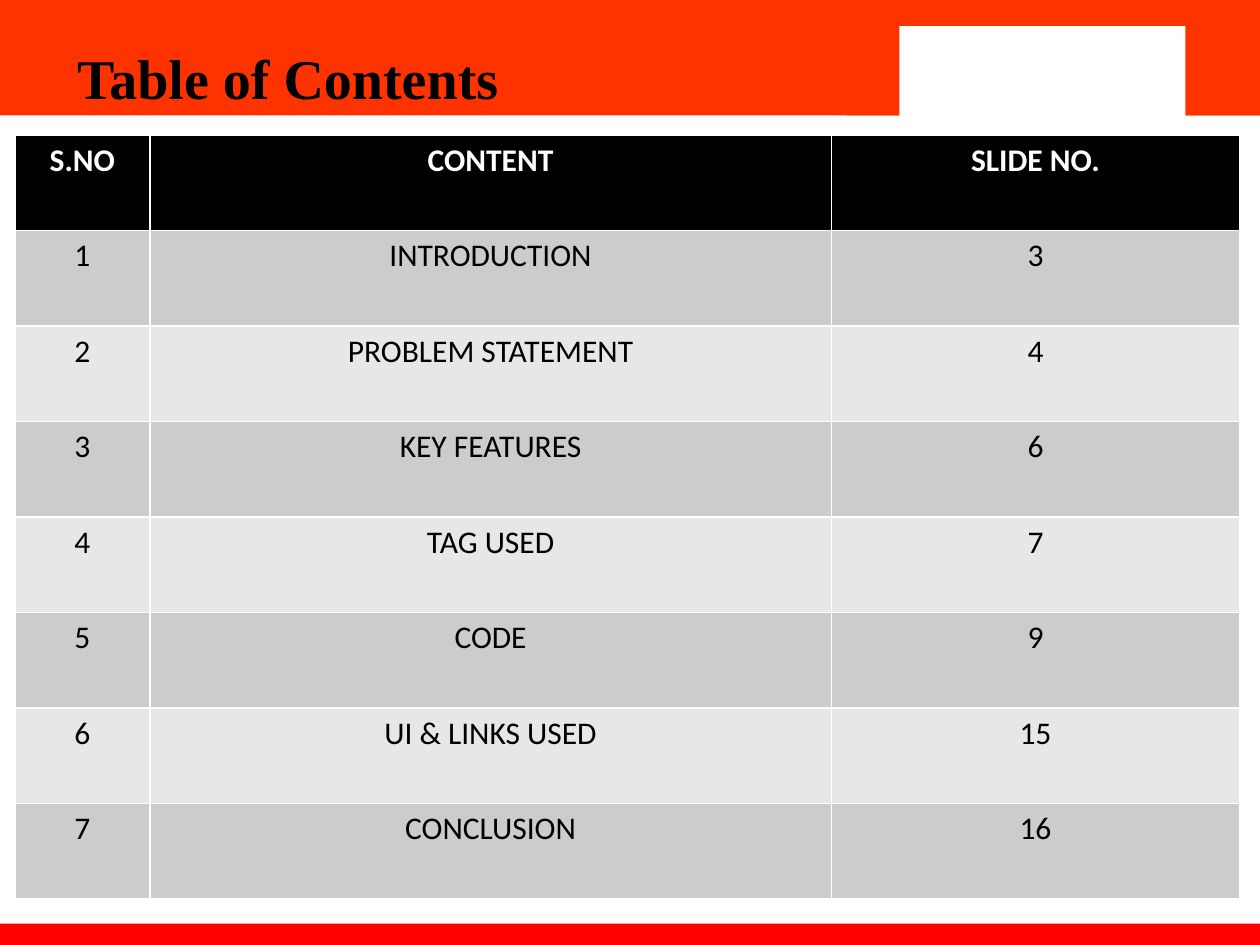
from dataclasses import dataclass

import pptx
import pptx.dml.color
import pptx.enum.shapes
import pptx.enum.text
import pptx.util

Cm = pptx.util.Cm
Pt = pptx.util.Pt
ALIGN = pptx.enum.text.PP_ALIGN

BLACK, WHITE = "000000", "FFFFFF"
ORANGE, RED = "FF3300", "FF0000"
ROW_FILLS = ("CCCCCC", "E7E7E7")


@dataclass(frozen=True)
class Block:
    left: float
    top: float
    width: float
    height: float
    color: str


@dataclass(frozen=True)
class Entry:
    content: str
    slide_number: int


BLOCKS = (
    Block(0, 0, 25.4, 2.33, ORANGE),
    Block(0, 18.62, 25.4, 0.43, RED),
    Block(17.07, 0, 8.33, 2.33, ORANGE),
    Block(18.13, 0.53, 5.77, 1.9, WHITE),
)
ENTRIES = (
    Entry("INTRODUCTION", 3),
    Entry("PROBLEM STATEMENT", 4),
    Entry("KEY FEATURES", 6),
    Entry("TAG USED", 7),
    Entry("CODE", 9),
    Entry("UI & LINKS USED", 15),
    Entry("CONCLUSION", 16),
)
HEADINGS = ("S.NO", "CONTENT", "SLIDE NO.")
COLUMN_WIDTHS = (2.72, 13.74, 8.23)
TABLE_LEFT, TABLE_TOP, TABLE_HEIGHT = 0.3, 2.72, 15.4


def rgb(color: str) -> pptx.dml.color.RGBColor:
    return pptx.dml.color.RGBColor.from_string(color)


def add_block(page, block: Block) -> None:
    box = page.shapes.add_shape(
        pptx.enum.shapes.MSO_SHAPE.RECTANGLE,
        Cm(block.left), Cm(block.top), Cm(block.width), Cm(block.height),
    )
    box.shadow.inherit = False
    box.fill.solid()
    box.fill.fore_color.rgb = rgb(block.color)
    box.line.fill.background()


def write(frame, text: str, font: str, size: int, color: str, bold: bool, align) -> None:
    para = frame.paragraphs[0]
    para.alignment = align
    span = para.add_run()
    span.text = text
    span.font.name = font
    span.font.size = Pt(size)
    span.font.bold = bold
    span.font.color.rgb = rgb(color)


def place_title(page, text: str) -> None:
    """Format the title and bring it in front of the header blocks."""
    title = page.shapes.title
    title.left, title.top = Cm(1.3), Cm(0.74)
    title.width, title.height = Cm(15.01), Cm(1.63)
    frame = title.text_frame
    frame.word_wrap = True
    frame.auto_size = pptx.enum.text.MSO_AUTO_SIZE.NONE
    frame.vertical_anchor = pptx.enum.text.MSO_ANCHOR.TOP
    write(frame, text, "Times New Roman", 32, BLACK, True, ALIGN.LEFT)
    page.shapes.element.append(title.element)


def add_contents_table(page, entries: tuple[Entry, ...]) -> None:
    rows = [HEADINGS] + [
        (str(number), entry.content, str(entry.slide_number))
        for number, entry in enumerate(entries, start=1)
    ]
    table = page.shapes.add_table(
        len(rows), len(HEADINGS), Cm(TABLE_LEFT), Cm(TABLE_TOP),
        Cm(sum(COLUMN_WIDTHS)), Cm(TABLE_HEIGHT),
    ).table
    for column, width in zip(table.columns, COLUMN_WIDTHS):
        column.width = Cm(width)
    for index, texts in enumerate(rows):
        is_header = index == 0
        fill = BLACK if is_header else ROW_FILLS[(index - 1) % 2]
        color = WHITE if is_header else BLACK
        for cell, text in zip(table.rows[index].cells, texts):
            cell.fill.solid()
            cell.fill.fore_color.rgb = rgb(fill)
            write(cell.text_frame, text, "Calibri", 18, color, is_header, ALIGN.CENTER)


def main() -> None:
    deck = pptx.Presentation()
    deck.slide_width, deck.slide_height = Cm(25.4), Cm(19.05)
    page = deck.slides.add_slide(deck.slide_layouts.get_by_name("Title Only"))
    for block in BLOCKS:
        add_block(page, block)
    place_title(page, "Table of Contents")
    add_contents_table(page, ENTRIES)
    deck.save("out.pptx")


if __name__ == "__main__":
    main()
